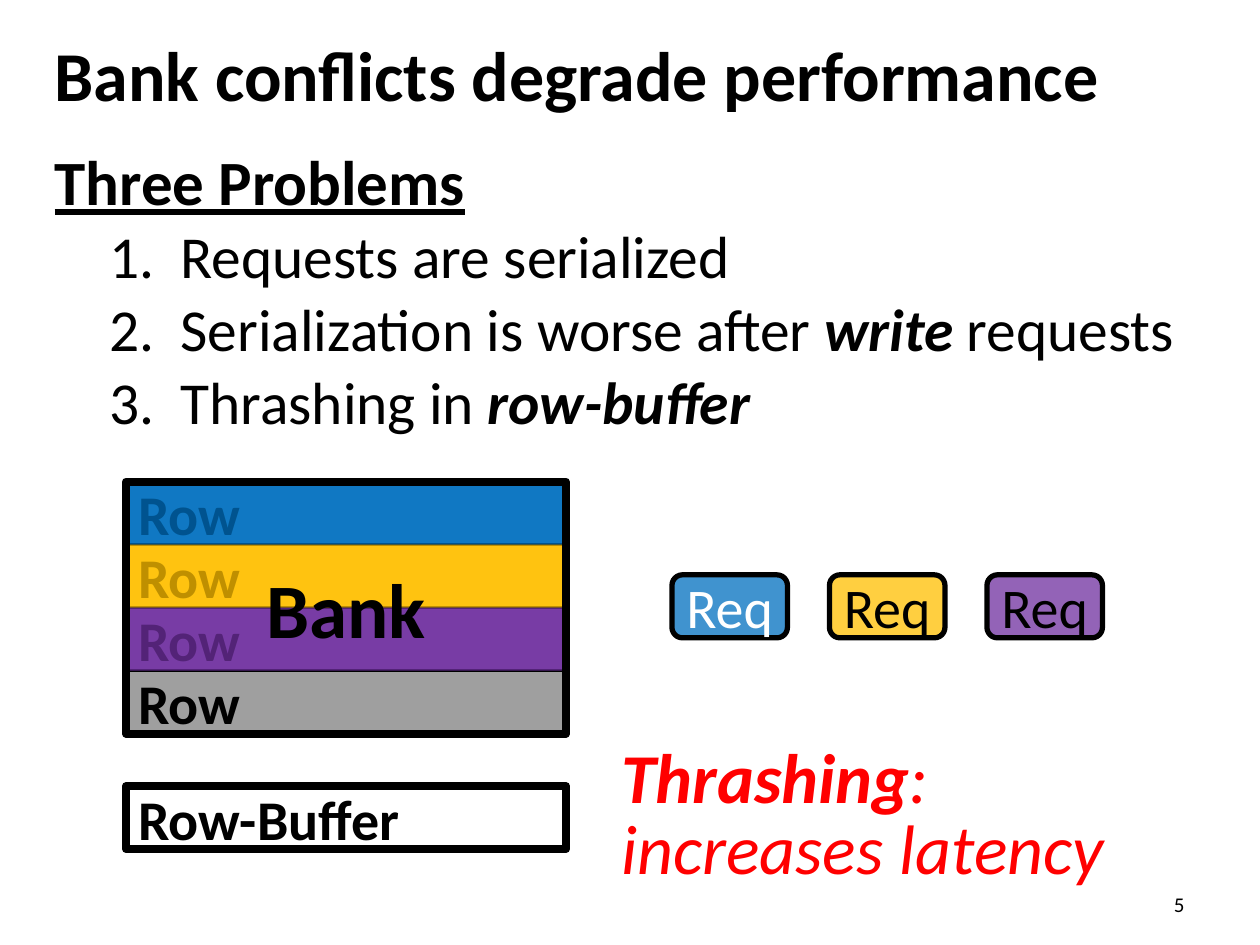
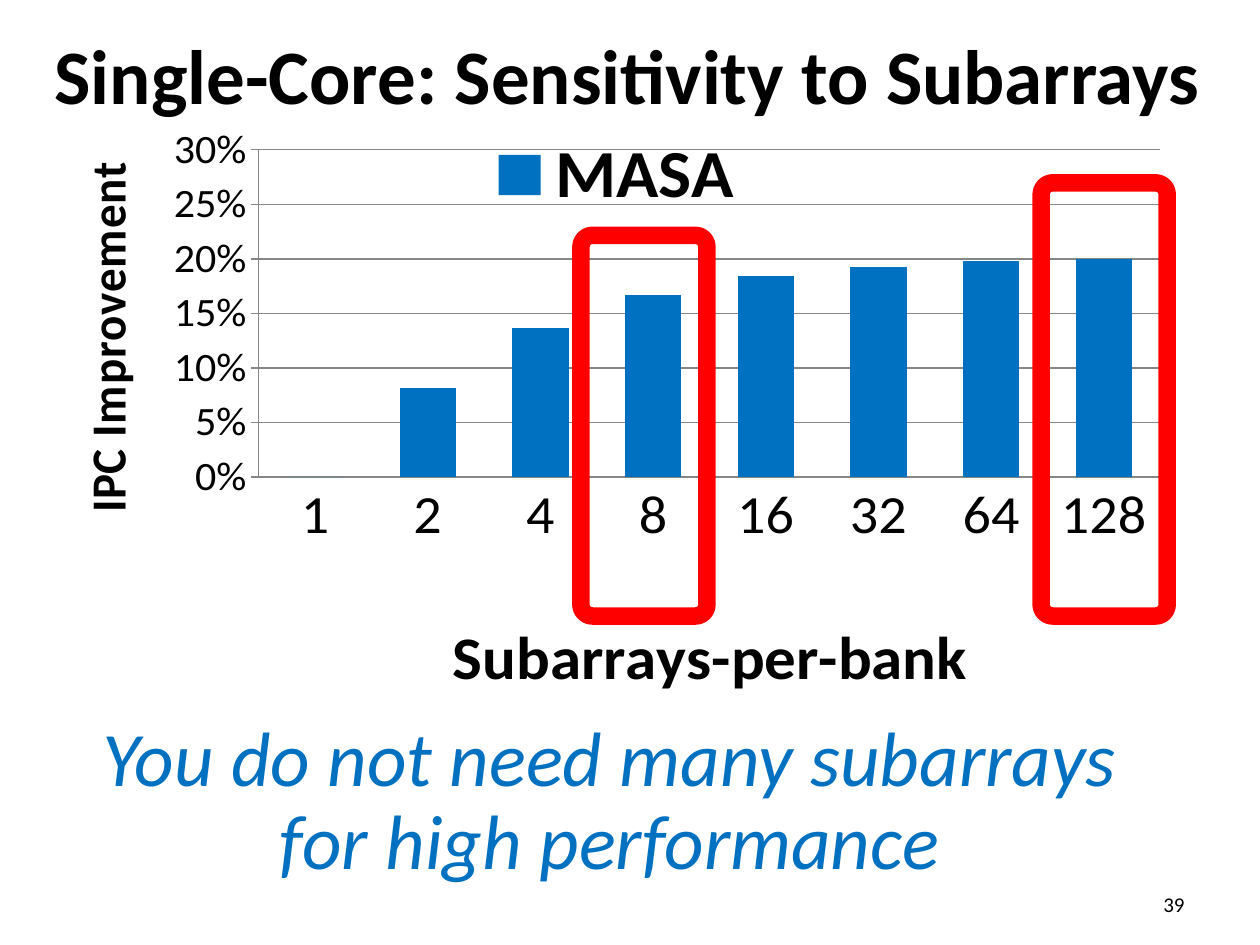
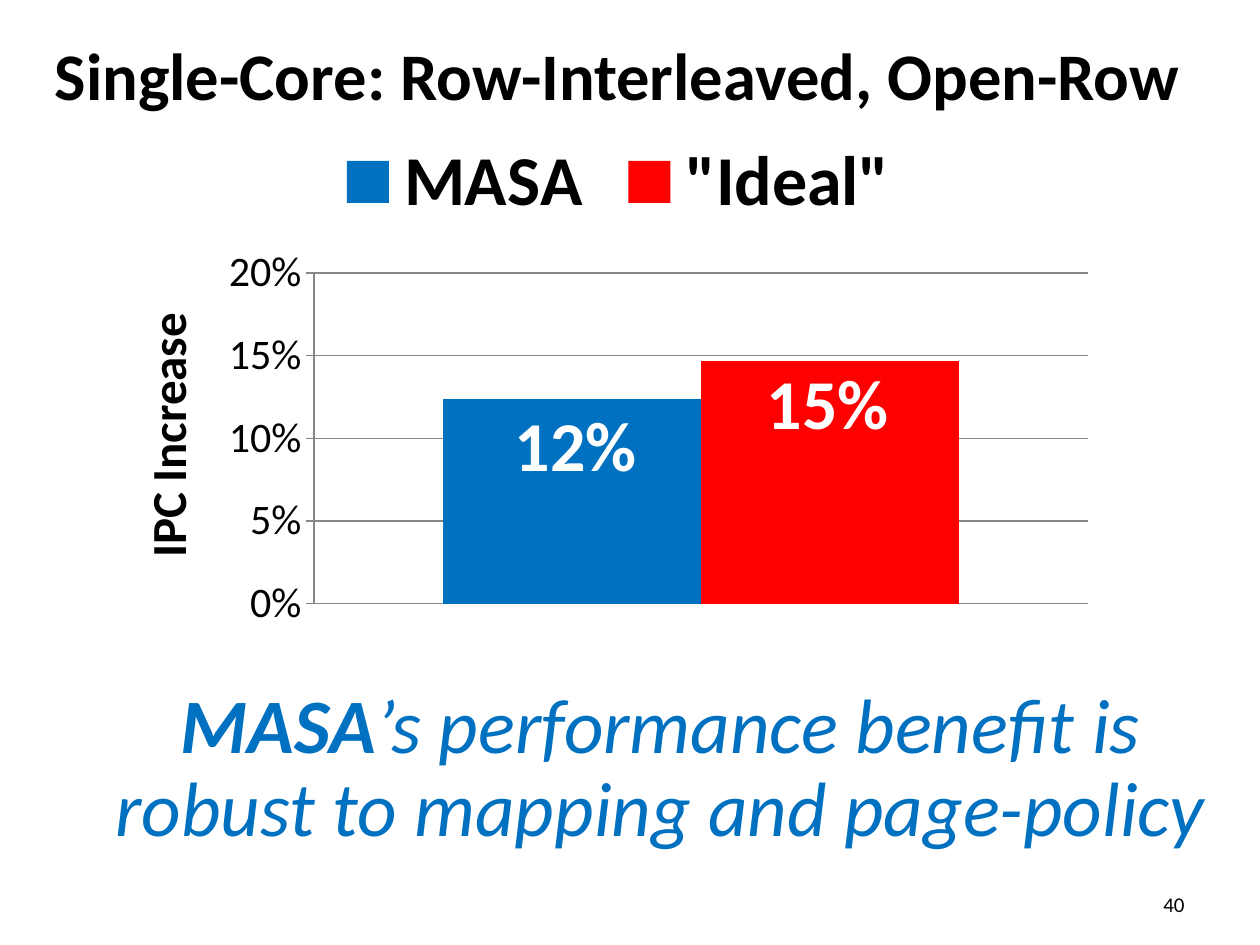
"""Build three slides on memory bank conflicts and subarray sensitivity."""
import pptx
import pptx.chart.data
import pptx.dml.color
import pptx.enum.chart
import pptx.enum.shapes
import pptx.enum.text
import pptx.oxml
import pptx.oxml.ns
import pptx.util
from dataclasses import dataclass

Pt = pptx.util.Pt
Align = pptx.enum.text.PP_ALIGN
Anchor = pptx.enum.text.MSO_ANCHOR
Shape = pptx.enum.shapes.MSO_SHAPE
qn = pptx.oxml.ns.qn


@dataclass(frozen=True)
class Theme:
    font: str = "Calibri"
    black: str = "000000"
    white: str = "FFFFFF"
    blue: str = "0070C0"
    gold: str = "FFC000"
    purple: str = "7030A0"
    gray: str = "808080"
    red: str = "FF0000"
    grid: str = "868686"
    number: int = 12
    tick: int = 24
    axis: int = 28
    label: int = 32
    item: int = 34
    heading: int = 36
    long_title: int = 38
    large: int = 40
    huge: int = 44


THEME = Theme()
STRONG = {"bold": True, "italic": True}

PROBLEMS = [
    [("Requests are serialized", {})],
    [("Serialization is worse after ", {}), ("write", STRONG), (" requests", {})],
    [("Thrashing in ", {}), ("row-buffer", STRONG)],
]
ROW_COLORS = [THEME.blue, THEME.gold, THEME.purple, THEME.gray]
REQUESTS = [(THEME.blue, THEME.white), (THEME.gold, THEME.black), (THEME.purple, THEME.black)]
THRASHING = [("Thrashing", {"bold": True}), (": \nincreases latency", {})]

SENSITIVITY = {
    "box": (24, 66, 652, 342),
    "categories": ["1", "2", "4", "8", "16", "32", "64", "128"],
    "series": [("MASA", [0, 0.082, 0.137, 0.167, 0.184, 0.193, 0.198, 0.2], THEME.blue)],
    "maximum": 0.3,
    "value_title": ("IPC Improvement", (0.02, 0.09)),
    "category_title": ("Subarrays-per-bank", (0.35, 0.85)),
    "plot": (0.19, 0.06, 0.79, 0.57),
    "legend": (0.38, 0.01),
    "overlay": True,
}
HIGHLIGHTS = [(595, 104.5), (332, 134.5)]
HIGHLIGHT_WIDTH, HIGHLIGHT_BOTTOM = 72, 352
SENSITIVITY_TAKEAWAY = "You do not need many subarrays for high performance"

INTERLEAVED = {
    "box": (66, 66, 567, 300),
    "categories": ["1"],
    "series": [("MASA", [0.124], THEME.blue), ('"Ideal"', [0.147], THEME.red)],
    "maximum": 0.2,
    "value_title": ("IPC Increase", (0.01, 0.36)),
    "category_title": None,
    "plot": (0.2, 0.3, 0.78, 0.63),
    "legend": (0.21, 0.02),
    "overlay": False,
}
BAR_LABELS = [("15%", 428, 202), ("12%", 284, 226)]
INTERLEAVED_TAKEAWAY = [
    ("MASA", {"bold": True}),
    ("’s performance benefit is robust to mapping and page-policy", {}),
]


def rgb(color):
    return pptx.dml.color.RGBColor.from_string(color)


def style(font, size, color=THEME.black, bold=False, italic=False, underline=False):
    font.name, font.size = THEME.font, Pt(size)
    font.bold, font.italic, font.underline = bold, italic, underline
    font.color.rgb = rgb(color)


def write(para, text, align=Align.LEFT, spacing=None, **look):
    """Fill a paragraph from a string or from (text, format) spans."""
    para.alignment = align
    if spacing:
        para.line_spacing = spacing
    for words, changes in [(text, {})] if isinstance(text, str) else text:
        for index, line in enumerate(words.split("\n")):
            if index:
                para.add_line_break()
            span = para.add_run()
            span.text = line
            style(span.font, **{**look, **changes})


def fill_frame(box, text, anchor=Anchor.MIDDLE, **look):
    frame = box.text_frame
    frame.word_wrap = True
    frame.auto_size = pptx.enum.text.MSO_AUTO_SIZE.NONE
    frame.vertical_anchor = anchor
    write(frame.paragraphs[0], text, **look)


def move(box, left, top, width, height):
    box.left, box.top, box.width, box.height = map(Pt, (left, top, width, height))


def add_text(page, place, text, **look):
    fill_frame(page.shapes.add_textbox(*map(Pt, place)), text, **look)


def add_block(page, place, kind=Shape.RECTANGLE, fill=None, line=None, color=THEME.black):
    box = page.shapes.add_shape(kind, *map(Pt, place))
    box.shadow.inherit = False
    if fill:
        box.fill.solid()
        box.fill.fore_color.rgb = rgb(fill)
        tint = box._element.spPr.find(".//" + qn("a:srgbClr"))
        tint.append(pptx.oxml.parse_xml(f'<a:alpha {pptx.oxml.ns.nsdecls("a")} val="75000"/>'))
    else:
        box.fill.background()
    if line:
        box.line.width = Pt(line)
        box.line.color.rgb = rgb(color)
    else:
        box.line.fill.background()
    return box


def set_bullet(para, left, indent, bullet):
    properties = para._p.get_or_add_pPr()
    properties.set("marL", str(Pt(left)))
    properties.set("indent", str(Pt(indent)))
    properties.append(pptx.oxml.parse_xml(bullet.format(pptx.oxml.ns.nsdecls("a"))))


def add_page(deck, layout, title, size, number):
    page = deck.slides.add_slide(deck.slide_layouts[layout])
    move(page.shapes.title, 24, 6, 672, 72)
    fill_frame(page.shapes.title, title, size=size, bold=True)
    add_text(page, (516, 504, 168, 25), number, size=THEME.number, align=Align.RIGHT)
    return page


def place_part(element, index, x, y, width=None, height=None):
    """Give a chart part a fixed place, as fractions of the chart."""
    for old in element.findall(qn("c:layout")):
        element.remove(old)
    settings = [("layoutTarget", "inner")] if width else []
    settings += [("xMode", "edge"), ("yMode", "edge"), ("x", x), ("y", y)]
    if width:
        settings += [("w", width), ("h", height)]
    inside = "".join(f'<c:{name} val="{value}"/>' for name, value in settings)
    element.insert(index, pptx.oxml.parse_xml(
        f'<c:layout {pptx.oxml.ns.nsdecls("c")}><c:manualLayout>{inside}</c:manualLayout></c:layout>'))


def title_axis(axis, title, size):
    text, spot = title
    write(axis.axis_title.text_frame.paragraphs[0], text, align=Align.CENTER, size=size, bold=True)
    place_part(axis.axis_title._element, 1, *spot)


def add_column_chart(page, content):
    data = pptx.chart.data.CategoryChartData()
    data.categories = content["categories"]
    for name, values, _ in content["series"]:
        data.add_series(name, values)
    kinds = pptx.enum.chart
    chart = page.shapes.add_chart(
        kinds.XL_CHART_TYPE.COLUMN_CLUSTERED, *map(Pt, content["box"]), data).chart
    chart.has_title = False
    style(chart.font, 10)
    plot = chart.plots[0]
    plot.gap_width, plot.overlap, plot.vary_by_categories = 100, 0, False
    for series, (_, _, color) in zip(plot.series, content["series"]):
        series.format.fill.solid()
        series.format.fill.fore_color.rgb = rgb(color)
    place_part(chart._chartSpace.chart.plotArea, 0, *content["plot"])

    values = chart.value_axis
    values.minimum_scale, values.maximum_scale, values.major_unit = 0, content["maximum"], 0.05
    values.major_tick_mark = kinds.XL_TICK_MARK.OUTSIDE
    values.tick_labels.number_format = "0%"
    values.tick_labels.number_format_is_linked = False
    style(values.tick_labels.font, THEME.tick)
    title_axis(values, content["value_title"], THEME.axis)
    turned = values.axis_title._element.find(".//" + qn("a:bodyPr"))
    turned.set("rot", "-5400000")
    turned.set("vert", "horz")

    categories = chart.category_axis
    if content["category_title"]:
        categories.major_tick_mark = kinds.XL_TICK_MARK.NONE
        style(categories.tick_labels.font, THEME.label)
        title_axis(categories, content["category_title"], THEME.heading)
    else:
        categories.visible = False
    for part in (values, values.major_gridlines, categories):
        part.format.line.color.rgb = rgb(THEME.grid)
        part.format.line.width = Pt(0.75)

    chart.has_legend = True
    chart.legend.position = kinds.XL_LEGEND_POSITION.TOP
    chart.legend.include_in_layout = content["overlay"]
    style(chart.legend.font, THEME.large, bold=True)
    place_part(chart.legend._element, 1, *content["legend"])


def add_takeaway(page, place, text):
    add_text(page, place, text, anchor=Anchor.TOP, size=THEME.huge, color=THEME.blue,
             italic=True, align=Align.CENTER, spacing=0.9)


def build_conflicts(deck):
    page = add_page(deck, 1, "Bank conflicts degrade performance", THEME.large, "5")
    body = page.placeholders[1]
    move(body, 24, 78, 672, 423)
    fill_frame(body, "Three Problems", anchor=Anchor.TOP, size=THEME.heading,
               bold=True, underline=True)
    set_bullet(body.text_frame.paragraphs[0], 0, 0, "<a:buNone {}/>")
    for problem in PROBLEMS:
        para = body.text_frame.add_paragraph()
        para.level = 1
        write(para, problem, size=THEME.item, spacing=0.85)
        set_bullet(para, 72, -40.5, '<a:buAutoNum {} type="arabicPeriod"/>')

    left, top, width, height = 72, 275.25, 251.5, 36
    places = [(left, top + index * height, width, height) for index in range(len(ROW_COLORS))]
    for place, color in zip(places, ROW_COLORS):
        row = add_block(page, place, fill=color, line=1.5)
        fill_frame(row, "Row", size=THEME.label, bold=True)
    for place, color in zip(places[:3], ROW_COLORS):
        add_block(page, place, fill=color)
    bank = add_block(page, (left, top, width, height * len(ROW_COLORS)), line=4.5)
    fill_frame(bank, "Bank", size=THEME.huge, bold=True, align=Align.CENTER)
    buffer = add_block(page, (left, 449.25, width, height), line=4.5)
    fill_frame(buffer, "Row-Buffer", size=THEME.label, bold=True)

    for index, (fill, color) in enumerate(REQUESTS):
        request = add_block(page, (384 + 90 * index, 328.5, 66, height),
                            Shape.ROUNDED_RECTANGLE, fill=fill, line=3)
        request.text_frame.margin_left = request.text_frame.margin_right = 0
        fill_frame(request, "Req", size=THEME.label, color=color, align=Align.CENTER)
    add_text(page, (348, 432, 354, 70.5), THRASHING, size=THEME.large, color=THEME.red,
             italic=True, spacing=0.85)


def build_sensitivity(deck):
    page = add_page(deck, 5, "Single-Core: Sensitivity to Subarrays", THEME.huge, "39")
    add_column_chart(page, SENSITIVITY)
    for left, top in HIGHLIGHTS:
        frame = add_block(page, (left, top, HIGHLIGHT_WIDTH, HIGHLIGHT_BOTTOM - top),
                          Shape.ROUNDED_RECTANGLE, line=10, color=THEME.red)
        frame.adjustments[0] = 0.09
    add_takeaway(page, (43, 408, 611, 103), SENSITIVITY_TAKEAWAY)


def build_interleaved(deck):
    page = add_page(deck, 5, "Single-Core: Row-Interleaved, Open-Row", THEME.long_title, "40")
    add_column_chart(page, INTERLEAVED)
    for text, left, top in BAR_LABELS:
        add_text(page, (left, top, 90, 55), text, anchor=Anchor.TOP, size=THEME.large,
                 color=THEME.white, bold=True, align=Align.CENTER)
    add_takeaway(page, (47, 389, 661, 103), INTERLEAVED_TAKEAWAY)


def main():
    deck = pptx.Presentation()
    deck.slide_width, deck.slide_height = Pt(720), Pt(540)
    build_conflicts(deck)
    build_sensitivity(deck)
    build_interleaved(deck)
    deck.save("out.pptx")


if __name__ == "__main__":
    main()
